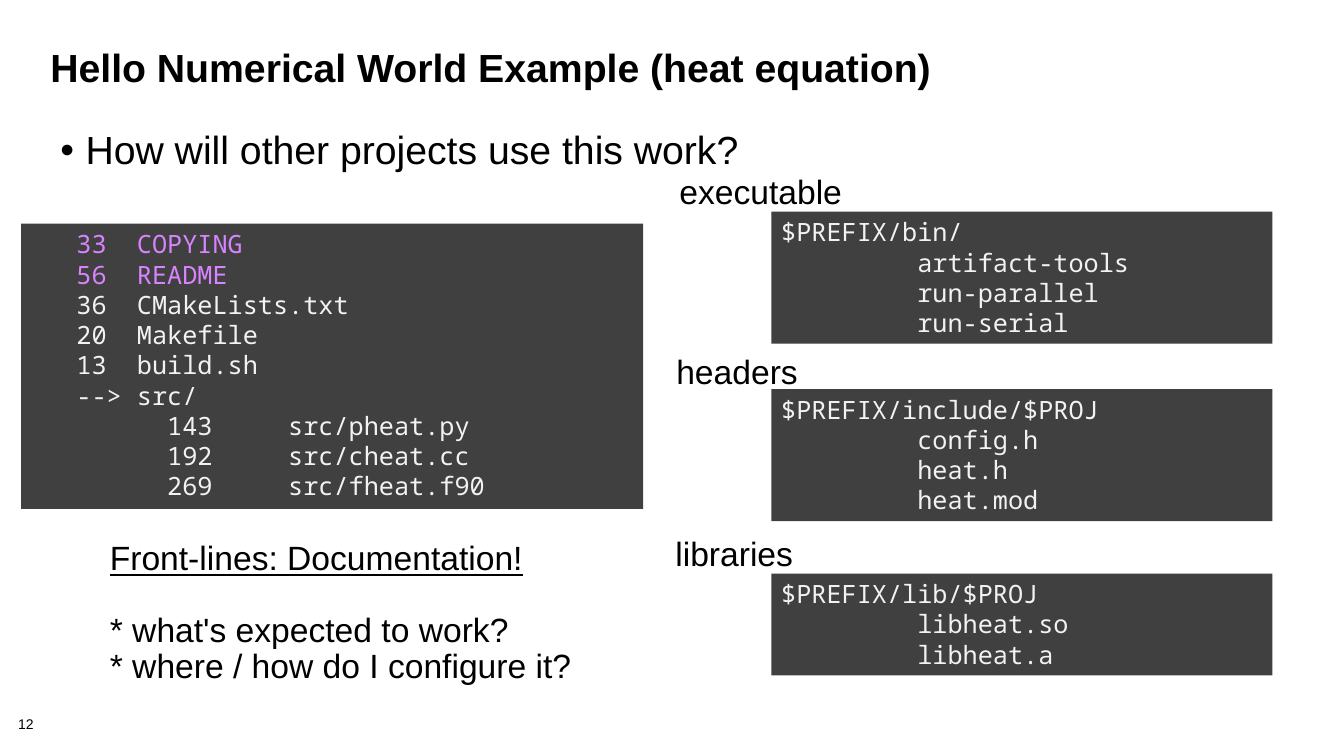
from dataclasses import dataclass

from lxml.etree import SubElement
from pptx import Presentation
from pptx.dml.color import RGBColor
from pptx.enum.shapes import MSO_SHAPE
from pptx.enum.text import MSO_ANCHOR, MSO_AUTO_SIZE, PP_ALIGN
from pptx.oxml.ns import qn
from pptx.util import Inches, Pt


@dataclass(frozen=True)
class Theme:
    text_font: str = "Arial"
    code_font: str = "Noto Sans Mono"
    ink: str = "000000"
    code_fill: str = "404040"
    code_ink: str = "F2F2F2"
    highlight: str = "D883FF"
    heading_size: int = 28
    label_size: int = 24
    code_size: int = 18
    number_size: int = 10
    line_spacing: float = 0.9
    title_spacing: float = 0.85


class SlideBuilder:
    def __init__(self, slide, theme):
        self.slide = slide
        self.theme = theme

    def add_run(self, paragraph, text, size, color=None, font=None, bold=False, underline=False):
        run = paragraph.add_run()
        run.text = text
        run.font.name = font or self.theme.text_font
        run.font.size = Pt(size)
        run.font.bold = bold
        run.font.underline = underline
        run.font.color.rgb = RGBColor.from_string(color or self.theme.ink)

    def prepare_frame(self, shape, anchor=MSO_ANCHOR.TOP, inset=(0.1, 0.05)):
        """Set wrapping, anchor and (side, top and bottom) insets in inches."""
        frame = shape.text_frame
        frame.word_wrap = True
        frame.auto_size = MSO_AUTO_SIZE.NONE
        frame.vertical_anchor = anchor
        frame.margin_left = frame.margin_right = Inches(inset[0])
        frame.margin_top = frame.margin_bottom = Inches(inset[1])
        return frame

    def add_frame(self, box, **options):
        shape = self.slide.shapes.add_textbox(*map(Inches, box))
        return self.prepare_frame(shape, **options)

    def next_paragraph(self, frame, index):
        paragraph = frame.add_paragraph() if index else frame.paragraphs[0]
        paragraph.alignment = PP_ALIGN.LEFT
        return paragraph

    def title(self, text, box):
        title = self.slide.shapes.title
        title.left, title.top, title.width, title.height = map(Inches, box)
        paragraph = self.next_paragraph(self.prepare_frame(title), 0)
        paragraph.line_spacing = self.theme.title_spacing
        self.add_run(paragraph, text, self.theme.heading_size, bold=True)

    def bullet(self, text, box):
        paragraph = self.next_paragraph(self.add_frame(box), 0)
        paragraph.line_spacing = self.theme.line_spacing
        properties = paragraph._p.get_or_add_pPr()
        properties.set("marL", str(Inches(0.25)))
        properties.set("indent", str(Inches(-0.25)))
        SubElement(properties, qn("a:buFont"), typeface=self.theme.text_font)
        SubElement(properties, qn("a:buChar"), char="•")
        self.add_run(paragraph, text, self.theme.heading_size)

    def label(self, text, box, size=None, **options):
        paragraph = self.next_paragraph(self.add_frame(box, **options), 0)
        paragraph.line_spacing = self.theme.line_spacing
        self.add_run(paragraph, text, size or self.theme.label_size)

    def code_block(self, lines, box, highlighted=0):
        """Draw a code panel whose first `highlighted` lines stand out."""
        panel = self.slide.shapes.add_shape(MSO_SHAPE.RECTANGLE, *map(Inches, box))
        panel.shadow.inherit = False
        panel.fill.solid()
        panel.fill.fore_color.rgb = RGBColor.from_string(self.theme.code_fill)
        panel.line.fill.background()
        frame = self.prepare_frame(panel)
        for index, line in enumerate(lines):
            color = self.theme.highlight if index < highlighted else self.theme.code_ink
            paragraph = self.next_paragraph(frame, index)
            self.add_run(paragraph, line, self.theme.code_size, color, self.theme.code_font)

    def checklist(self, heading, questions, box):
        frame = self.add_frame(box, anchor=MSO_ANCHOR.MIDDLE, inset=(0.13, 0.1))
        for index, text in enumerate([heading, *questions]):
            paragraph = self.next_paragraph(frame, index)
            paragraph.line_spacing = self.theme.line_spacing
            if index == 1:
                paragraph.space_before = Pt(25)
            self.add_run(paragraph, text, self.theme.label_size, underline=index == 0)


SOURCE_TREE = [
    "   33  COPYING",
    "   56  README",
    "   36  CMakeLists.txt",
    "   20  Makefile",
    "   13  build.sh",
    "   --> src/",
    "         143     src/pheat.py",
    "         192     src/cheat.cc",
    "         269     src/fheat.f90",
]

# label, label left, label top, panel top, panel height, folder, files
INSTALLED = [
    ("executable", 6.64, 1.69, 2.1, 1.31, "$PREFIX/bin/",
     ["artifact-tools", "run-parallel", "run-serial"]),
    ("headers", 6.61, 3.48, 3.86, 1.31, "$PREFIX/include/$PROJ",
     ["config.h", "heat.h", "heat.mod"]),
    ("libraries", 6.6, 5.28, 5.69, 1.01, "$PREFIX/lib/$PROJ",
     ["libheat.so", "libheat.a"]),
]


def main():
    presentation = Presentation()
    presentation.slide_width = Inches(13.33)
    presentation.slide_height = Inches(7.5)
    theme = Theme()
    title_only = presentation.slide_layouts[5]
    builder = SlideBuilder(presentation.slides.add_slide(title_only), theme)

    builder.title("Hello Numerical World Example (heat equation)", (0.4, 0.45, 12.44, 1))
    builder.label("12", (0.18, 7.12, 0.56, 0.16), theme.number_size, inset=(0, 0))
    builder.code_block(SOURCE_TREE, (0.21, 2.22, 6.17, 2.83), highlighted=2)
    builder.bullet("How will other projects use this work?", (0.5, 1.25, 12.43, 1.76))
    for name, label_left, label_top, panel_top, panel_height, folder, files in INSTALLED:
        builder.label(name, (label_left, label_top, 2.4, 0.6))
        lines = [folder] + [" " * 9 + file for file in files]
        builder.code_block(lines, (7.65, panel_top, 4.97, panel_height))
    builder.checklist(
        "Front-lines: Documentation!",
        ["* what's expected to work?", "* where / how do I configure it?"],
        (0.96, 5.26, 5.53, 1.66),
    )
    presentation.save("out.pptx")


if __name__ == "__main__":
    main()
